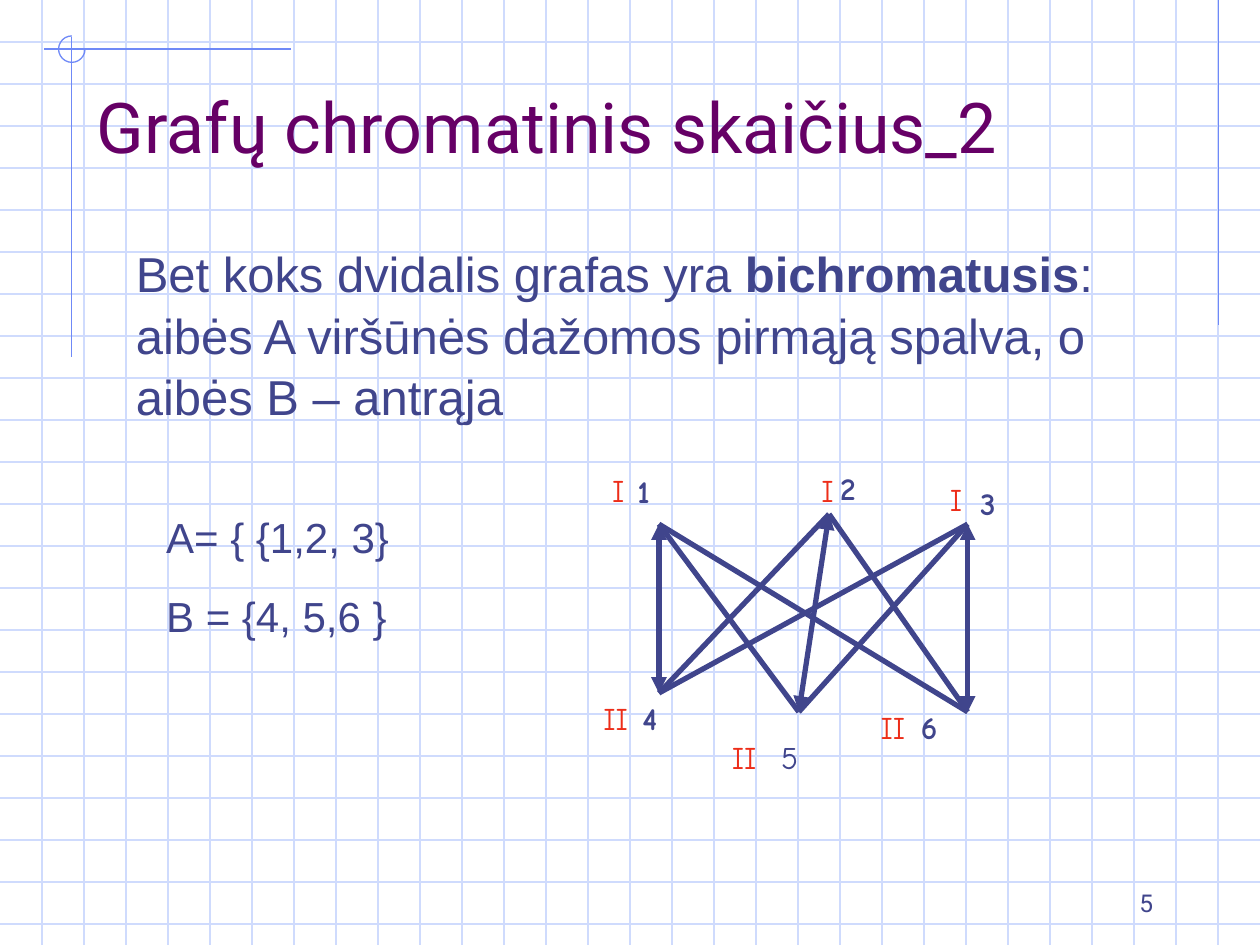
from collections import namedtuple
from itertools import product

from lxml.etree import SubElement
from pptx import Presentation
from pptx.dml.color import RGBColor
from pptx.enum.shapes import MSO_CONNECTOR as Connector, MSO_SHAPE as Shape
from pptx.enum.text import MSO_ANCHOR as Anchor, PP_ALIGN as Align
from pptx.oxml.ns import qn
from pptx.util import Inches, Pt

Box = namedtuple("Box", "left top width height")
Vertex = namedtuple("Vertex", "name x y name_x name_y mark_x mark_y bold")

GRID = "CFDBFD"
ACCENT = "6F89F7"
INK = "40458C"
PURPLE = "660066"
RED = "ED2D19"

UPPER = [
    Vertex("1", 0.54, 0.49, 0.27, 0.03, 0.07, 0.02, True),
    Vertex("2", 1.89, 0.41, 1.88, 0, 1.73, 0.02, True),
    Vertex("3", 2.99, 0.49, 2.99, 0.12, 2.75, 0.09, True),
]
LOWER = [
    Vertex("4", 0.54, 1.83, 0.31, 1.83, 0, 1.83, True),
    Vertex("5", 1.65, 1.98, 1.41, 2.14, 1.02, 2.14, False),
    Vertex("6", 2.99, 1.98, 2.52, 1.9, 2.2, 1.9, True),
]


def color(value):
    return RGBColor.from_string(value)


def add_line(page, start, end, stroke, weight=0.75, arrows=False):
    points = [Inches(value) for value in (*start, *end)]
    line = page.shapes.add_connector(Connector.STRAIGHT, *points)
    line.line.color.rgb = color(stroke)
    line.line.width = Pt(weight)
    if arrows:
        outline = line.line._get_or_add_ln()
        for end_tag in ("a:headEnd", "a:tailEnd"):
            SubElement(outline, qn(end_tag), type="triangle")
    SubElement(line._element.spPr, qn("a:effectLst"))


def add_text(page, box, paragraphs, size, font="Arial", ink=INK, bold=False,
             align=Align.LEFT, anchor=Anchor.TOP, spacing=1.0, before=0):
    shape = page.shapes.add_textbox(*(Inches(value) for value in box))
    frame = shape.text_frame
    frame.word_wrap = True
    frame.vertical_anchor = anchor
    for index, spans in enumerate(paragraphs):
        para = frame.paragraphs[0] if index == 0 else frame.add_paragraph()
        para.alignment = align
        para.line_spacing = spacing
        para.space_before = Pt(before if index else 0)
        for text, strong in spans:
            span = para.add_run()
            span.text = text
            span.font.name = font
            span.font.size = Pt(size)
            span.font.bold = bold or strong
            span.font.color.rgb = color(ink)


def add_grid(page, box):
    step = 1 / 3
    right, bottom = box.left + box.width, box.top + box.height
    for row in range(1, int(box.height / step) + 1):
        y = box.top + row * step
        add_line(page, (box.left, y), (right, y), GRID)
    for column in range(1, round(box.width / step)):
        x = box.left + column * step
        add_line(page, (x, box.top), (x, bottom), GRID)


def add_corner(page, box):
    x, y, radius = box.left + 0.22, box.top + 0.11, 0.105
    add_line(page, (box.left + box.width, y), (box.left, y), ACCENT)
    add_line(page, (x, box.top + 0.01), (x, box.top + box.height), ACCENT)
    arc = page.shapes.add_shape(
        Shape.ARC, Inches(x - radius), Inches(y - radius),
        Inches(2 * radius), Inches(2 * radius))
    arc.adjustments[0] = 0
    arc.adjustments[1] = 162
    arc.shadow.inherit = False
    arc.fill.background()
    arc.line.color.rgb = color(ACCENT)
    arc.line.width = Pt(0.75)


def add_graph(page, box):
    def place(x, y):
        return box.left + x, box.top + y

    pairs = list(zip(UPPER, LOWER))
    crossing = [pair for pair in product(UPPER, LOWER) if pair not in pairs]
    for upper, lower in pairs + crossing:
        add_line(page, place(upper.x, upper.y), place(lower.x, lower.y), INK,
                 weight=3, arrows=(upper, lower) in pairs)
    for vertices, mark, width in ((UPPER, "I", 0.39), (LOWER, "II", 0.71)):
        for vertex in vertices:
            name_box = Box(*place(vertex.name_x, vertex.name_y), 0.39, 0.4)
            mark_box = Box(*place(vertex.mark_x, vertex.mark_y), width, 0.4)
            add_text(page, name_box, [[(vertex.name, False)]], 18,
                     font="Comic Neue", bold=vertex.bold)
            add_text(page, mark_box, [[(mark, False)]], 18,
                     font="Comic Neue", ink=RED)


def add_content(page):
    add_text(page, Box(7.17, 6.83, 2.08, 0.5), [[("5", False)]], 14,
             font="Roboto", align=Align.RIGHT, anchor=Anchor.BOTTOM)
    add_text(page, Box(0.67, 0.33, 8.5, 1.05),
             [[("Grafų chromatinis skaičius_2", False)]], 40,
             font="Roboto", ink=PURPLE, anchor=Anchor.BOTTOM)
    statement = [
        ("Bet koks dvidalis grafas yra ", False),
        ("bichromatusis", True),
        (": aibės A viršūnės dažomos pirmąją spalva, o aibės B – antrąja", False),
    ]
    add_text(page, Box(0.98, 1.86, 8.5, 4.81), [statement], 28, spacing=1.05)
    sets = [[("A= { {1,2, 3}", False)], [("B = {4, 5,6 }", False)]]
    add_text(page, Box(1.22, 3.99, 2.52, 1.72), sets, 24,
             spacing=1.05, before=15)


def main():
    deck = Presentation()
    deck.slide_width = Inches(10)
    deck.slide_height = Inches(7.5)
    page = deck.slides.add_slide(deck.slide_layouts[6])
    add_grid(page, Box(0, 0, 10, 7.5))
    add_line(page, (9.67, 0), (9.67, 2.58), ACCENT)
    add_corner(page, Box(0.35, 0.28, 1.96, 2.55))
    add_content(page)
    add_graph(page, Box(4.69, 3.67, 3.38, 2.54))
    deck.save("out.pptx")


if __name__ == "__main__":
    main()
